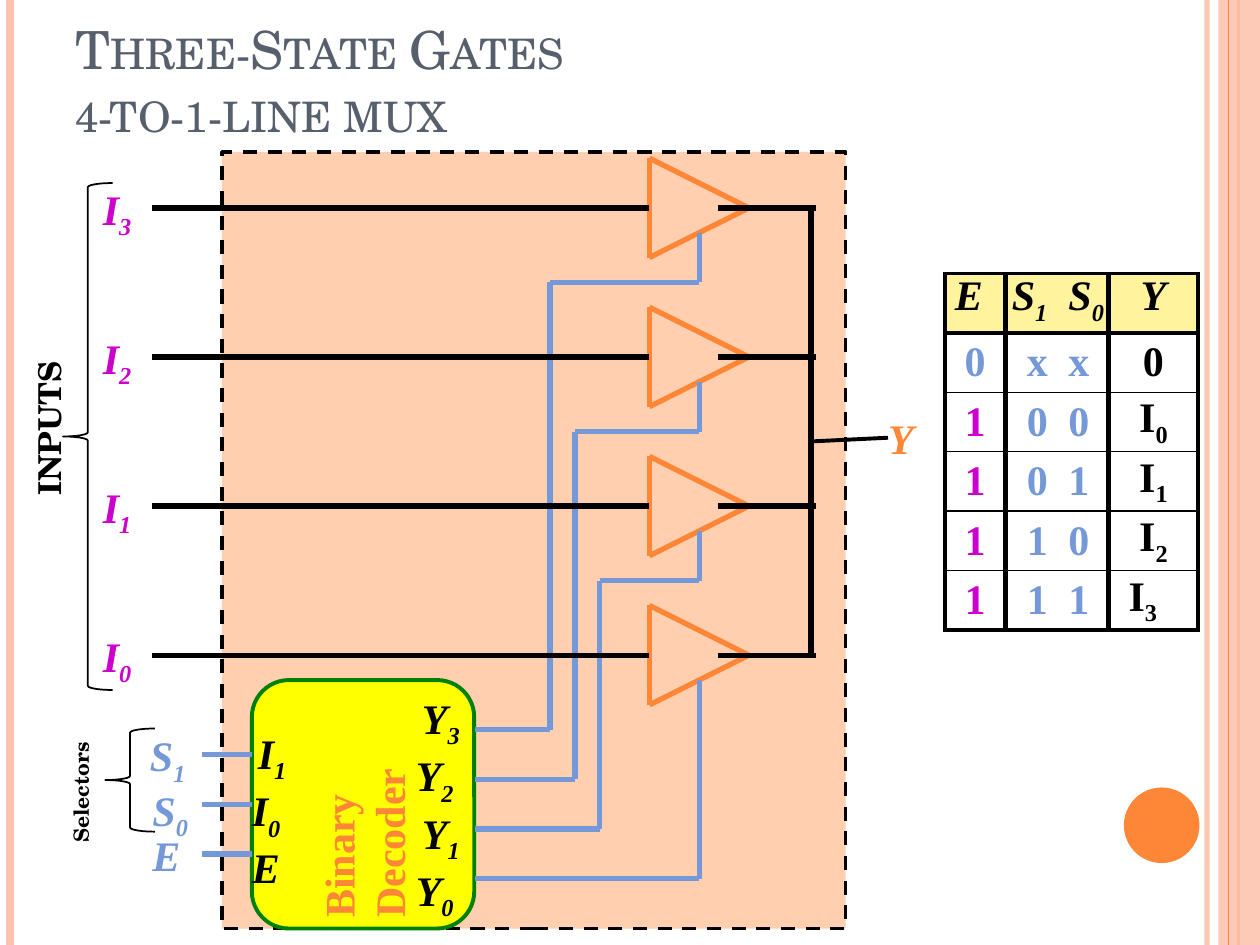
from dataclasses import dataclass
from itertools import pairwise

from lxml.etree import SubElement
from pptx import Presentation
from pptx.dml.color import RGBColor
from pptx.enum.dml import MSO_LINE
from pptx.enum.shapes import MSO_CONNECTOR, MSO_SHAPE as Preset
from pptx.enum.text import MSO_ANCHOR as Anchor, MSO_AUTO_SIZE as AutoSize, PP_ALIGN as Align
from pptx.oxml import parse_xml
from pptx.oxml.ns import nsdecls, qn
from pptx.util import Inches, Pt

COLORS = {
    "black": "000000", "title": "575F6D", "orange": "FE8637", "pink": "FEC3AE",
    "peach": "FFCFAF", "blue": "7598D9", "magenta": "CC00CC", "yellow": "FFFF00",
    "green": "008000", "header": "FFF39D",
}
SERIF, SCHOOL = "Times New Roman", "TeX Gyre Schola"
WIDTH, HEIGHT = 10, 7.5

# The circuit sits on a square grid; (0, 0) is where the top input wire starts.
LEFT, TOP = 1.21, 1.65
UNIT = 3.55 / 18
GATE_ROWS = range(0, 24, 6)


@dataclass(frozen=True)
class Box:
    left: float
    top: float
    width: float
    height: float

    def emu(self) -> list:
        return [Inches(v) for v in (self.left, self.top, self.width, self.height)]


@dataclass(frozen=True)
class Style:
    color: str = "black"
    size: float = 24
    font: str = SERIF
    italic: bool = True
    bold: bool = True


@dataclass(frozen=True)
class Label:
    col: float
    row: float
    width: float
    height: float
    lines: tuple
    style: Style


@dataclass(frozen=True)
class Entry:
    """A table cell; a tab separates its two values."""
    text: str
    color: str = "black"
    italic: bool = False
    left: float = 0
    right: float = 0


def rgb(name: str) -> RGBColor:
    return RGBColor.from_string(COLORS[name])


def grid_box(col: float, row: float, cols: float, rows: float) -> Box:
    return Box(LEFT + col * UNIT, TOP + row * UNIT, cols * UNIT, rows * UNIT)


def set_alpha(shape, percent: int) -> None:
    for color in shape._element.spPr.iter(qn("a:srgbClr")):
        SubElement(color, qn("a:alpha")).set("val", str(percent * 1000))


def add_line(slide, start: tuple, end: tuple, color: str, width: float):
    line = slide.shapes.add_connector(MSO_CONNECTOR.STRAIGHT, *map(Inches, start + end))
    line.line.color.rgb = rgb(color)
    line.line.width = Pt(width)
    SubElement(line._element.spPr, qn("a:effectLst"))
    return line


def add_wire(slide, color: str, *points: tuple, width: float = 3) -> None:
    """Join grid points with straight segments."""
    places = [(LEFT + col * UNIT, TOP + row * UNIT) for col, row in points]
    for start, end in pairwise(places):
        add_line(slide, start, end, color, width)


def add_preset(slide, preset, box: Box, fill: str = "", line: str = "", width: float = 1):
    shape = slide.shapes.add_shape(preset, *box.emu())
    shape.shadow.inherit = False
    if fill:
        shape.fill.solid()
        shape.fill.fore_color.rgb = rgb(fill)
    else:
        shape.fill.background()
    if line:
        shape.line.color.rgb = rgb(line)
        shape.line.width = Pt(width)
    else:
        shape.line.fill.background()
    return shape


def write(paragraph, text: str, style: Style, align=Align.LEFT) -> None:
    """Write text in which an underscore lowers the next character."""
    paragraph.alignment = align
    font = paragraph.font
    font.name, font.size = style.font, Pt(style.size)
    font.bold, font.italic = style.bold, style.italic
    font.color.rgb = rgb(style.color)
    plain, *lowered = text.split("_")
    pieces = [(plain, 0)]
    for part in lowered:
        pieces += [(part[0], -25), (part[1:], 0)]
    for piece, baseline in pieces:
        if piece:
            span = paragraph.add_run()
            span.text = piece
            if baseline:
                span.font._element.set("baseline", str(baseline * 1000))


def clear_margins(frame) -> None:
    frame.margin_left = frame.margin_right = frame.margin_top = frame.margin_bottom = 0


def add_label(slide, label: Label) -> None:
    box = slide.shapes.add_textbox(
        *grid_box(label.col, label.row, label.width, label.height).emu())
    frame = box.text_frame
    clear_margins(frame)
    frame.word_wrap = len(label.lines) > 1
    for index, line in enumerate(label.lines):
        write(frame.add_paragraph() if index else frame.paragraphs[0], line, label.style)


def add_side_title(slide, text: str, box: Box, size: float) -> None:
    side = slide.shapes.add_textbox(*box.emu())
    side.rotation = 270
    side.text_frame.word_wrap = True
    side.text_frame.vertical_anchor = Anchor.MIDDLE
    write(side.text_frame.paragraphs[0], text, Style("black", size, SCHOOL, False), Align.CENTER)


def add_page_frame(slide) -> None:
    for x, color, width, alpha in ((9.58, "pink", 3, 93), (0.08, "pink", 4.5, 100),
                                   (9.83, "orange", 1.5, 100)):
        set_alpha(add_line(slide, (x, 0), (x, HEIGHT), color, width), alpha)
    set_alpha(add_preset(slide, Preset.RECTANGLE, Box(9.67, 0, 0.33, HEIGHT), "pink"), 87)
    add_line(slide, (9.75, 0), (9.75, HEIGHT), "orange", 0.75)
    add_preset(slide, Preset.OVAL, Box(8.92, 6.25, 0.6, 0.6), "orange")


def set_title(slide) -> None:
    title = slide.shapes.title
    title.left, title.top, title.width, title.height = Box(0.5, 0.01, 8.42, 1.25).emu()
    frame = title.text_frame
    frame.auto_size, frame.vertical_anchor = AutoSize.NONE, Anchor.MIDDLE
    paragraph = frame.paragraphs[0]
    write(paragraph, "", Style("title", 30, SCHOOL, False, False))
    paragraph.text = "Three-State Gates\v4-to-1-line mux"
    for span in paragraph.runs:
        span.font._element.set("cap", "small")


def add_circuit(slide) -> None:
    frame = add_preset(slide, Preset.RECTANGLE, grid_box(2.8, -2.25, 25.1, 31.25),
                       "peach", "black", 2)
    frame.line.dash_style = MSO_LINE.DASH
    decoder = add_preset(slide, Preset.ROUNDED_RECTANGLE, grid_box(4, 19, 8.95, 10),
                         "yellow", "green", 2.25)
    text = decoder.text_frame
    clear_margins(text)
    text.word_wrap, text.vertical_anchor = False, Anchor.MIDDLE
    text._txBody.bodyPr.set("vert", "vert270")
    write(text.paragraphs[0], "", Style("orange", italic=False))
    text.paragraphs[0].text = "Binary\vDecoder"

    for index, row in enumerate(GATE_ROWS):
        add_wire(slide, "orange", (20, row - 2), (24, row), (20, row + 2), (20, row - 2))
        add_wire(slide, "black", (0, row), (20, row))
        add_wire(slide, "black", (22.75, row), (26.7, row))
        output, column = 21 + 2 * index, 16 + index
        turns = [(column, output), (column, row + 3)] if index < 3 else []
        add_wire(slide, "blue", (13, output), *turns,
                 (22, row + 3 if turns else output), (22, row + 1))
        add_label(slide, Label(-2, row - 1, 1.2, 1.8, (f"I_{3 - index}",), Style("magenta")))
    for row in (22, 24, 26):
        add_wire(slide, "blue", (2, row), (4, row))
    add_wire(slide, "black", (26.5, 0), (26.5, 18))
    add_wire(slide, "black", (26.5, 9.4), (29.6, 9.25), width=2.25)

    for label in (
        Label(29.6, 8.25, 1.2, 2, ("Y",), Style("orange")),
        Label(-0.1, 21, 1.5, 1.8, ("S_1",), Style("blue")),
        Label(0, 23.2, 1.5, 1.8, ("S_0",), Style("blue")),
        Label(0, 25, 1.1, 1.8, ("E",), Style("blue")),
        Label(4, 20.9, 2, 6.1, ("_ I_1", "I_0", "E"), Style()),
        Label(10.6, 19.5, 2, 8.1, ("_ Y_3", "Y_2", "_ Y_1", "Y_0"), Style()),
    ):
        add_label(slide, label)
    for brace in (grid_box(-3.6, -1, 2, 20.4), grid_box(-1.9, 20.95, 2, 4.15)):
        add_preset(slide, Preset.LEFT_BRACE, brace, line="black")
    add_side_title(slide, "INPUTS", Box(-0.45, 3.16, 1.67, 0.48), 18)
    add_side_title(slide, "Selectors", Box(0.07, 6.05, 1.14, 0.48), 12)


def set_borders(cell, widths: dict) -> None:
    for index, (side, width) in enumerate(widths.items()):
        cell._tc.get_or_add_tcPr().insert(index, parse_xml(
            f'<a:ln{side} {nsdecls("a")} w="{Pt(width)}"><a:solidFill>'
            f'<a:srgbClr val="{COLORS["black"]}"/></a:solidFill></a:ln{side}>'))


def add_truth_table(slide) -> None:
    rows = [(Entry("E", italic=True, right=0.1), Entry("S_1\tS_0", italic=True, left=0.05),
             Entry("Y", italic=True)),
            (Entry("0", "blue"), Entry("x\tx", "blue", left=0.17), Entry("0"))]
    for number, bits in enumerate(("0\t0", "0\t1", "1\t0", "1\t1")):
        rows.append((Entry("1", "magenta"), Entry(bits, "blue", left=0.17),
                     Entry(f"I_{number}", right=0.17 if number == 3 else 0)))
    last = len(rows) - 1
    table = slide.shapes.add_table(len(rows), 3, *Box(7.5, 2.17, 2.01, 2.83).emu()).table
    table.first_row = table.horz_banding = False
    for column, width in zip(table.columns, (0.48, 0.82, 0.71)):
        column.width = Inches(width)
    for r, entries in enumerate(rows):
        for c, entry in enumerate(entries):
            cell = table.cell(r, c)
            clear_margins(cell)
            cell.margin_left, cell.margin_right = Inches(entry.left), Inches(entry.right)
            if r:
                cell.vertical_anchor = Anchor.MIDDLE
                cell.fill.background()
            else:
                cell.fill.solid()
                cell.fill.fore_color.rgb = rgb("header")
            set_borders(cell, {"L": 3 if c else 2.25, "R": 3 if c < 2 else 2.25,
                               "T": {0: 2.25, 1: 3}.get(r, 1),
                               "B": {0: 3, last: 2.25}.get(r, 1)})
            paragraph = cell.text_frame.paragraphs[0]
            paired = "\t" in entry.text
            if paired:
                stops = SubElement(paragraph._p.get_or_add_pPr(), qn("a:tabLst"))
                stop = SubElement(stops, qn("a:tab"))
                stop.set("pos", str(Inches(0.5 - entry.left)))
                stop.set("algn", "l")
            write(paragraph, entry.text, Style(entry.color, italic=entry.italic),
                  Align.LEFT if paired else Align.CENTER)


def main() -> None:
    deck = Presentation()
    deck.slide_width, deck.slide_height = Inches(WIDTH), Inches(HEIGHT)
    slide = deck.slides.add_slide(deck.slide_layouts[5])
    add_page_frame(slide)
    set_title(slide)
    add_circuit(slide)
    add_truth_table(slide)
    deck.save("out.pptx")


if __name__ == "__main__":
    main()
